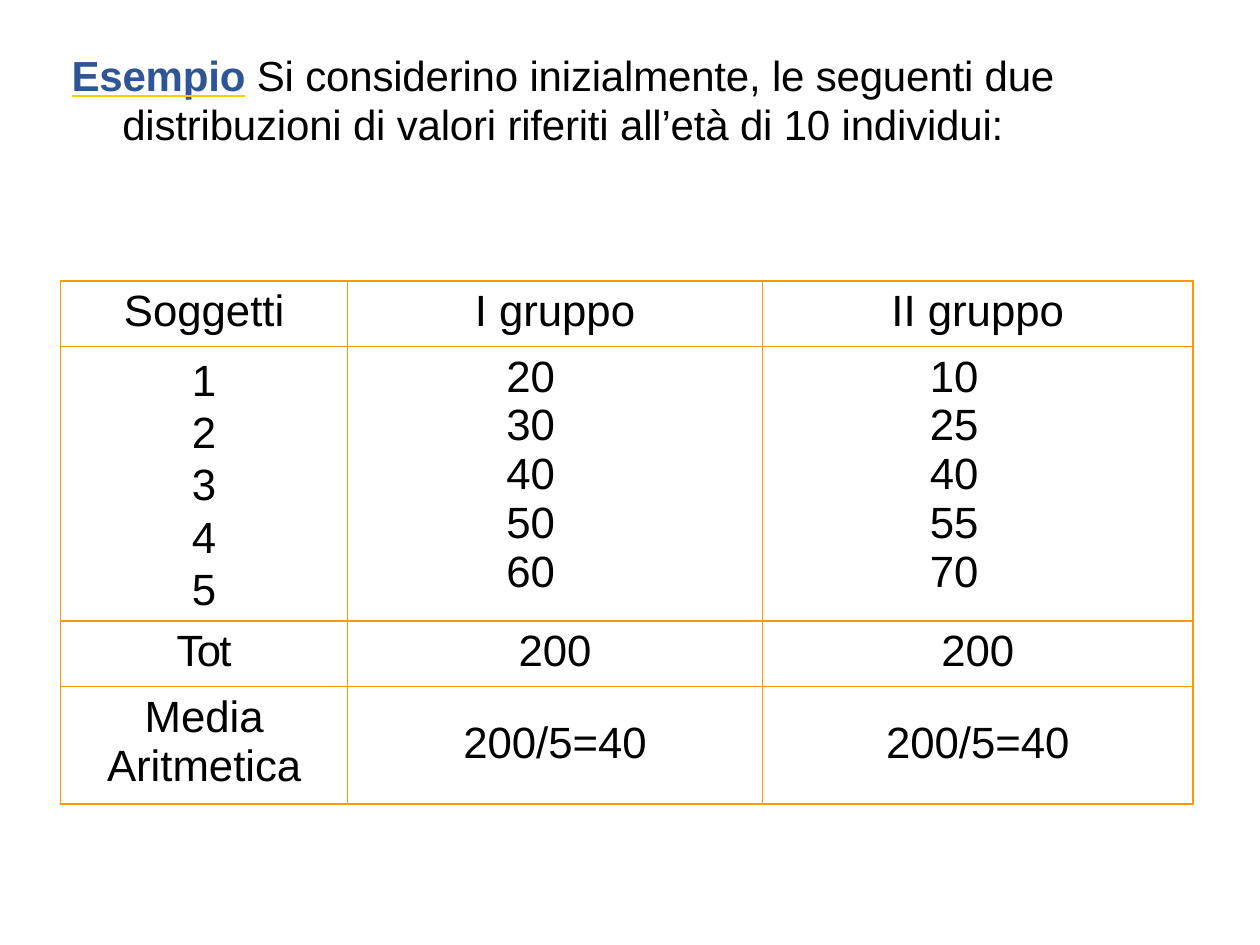
from lxml import etree
from pptx import Presentation
from pptx.dml.color import RGBColor
from pptx.enum.text import MSO_ANCHOR, PP_ALIGN
from pptx.oxml.ns import qn
from pptx.util import Inches, Pt

CENTER, LEFT = PP_ALIGN.CENTER, PP_ALIGN.LEFT
BOTTOM = MSO_ANCHOR.BOTTOM
FONT, BLACK, BLUE, YELLOW, ORANGE = "Arial", "000000", "2F5597", "FFCC00", "FF9900"

LEAD = "Esempio"
INTRO = " Si considerino inizialmente, le seguenti due distribuzioni di valori riferiti all’età di 10 individui:"
ROWS = [
    ["Soggetti", "I gruppo", "II gruppo"],
    ["1\n2\n3\n4\n5", "20\n30\n40\n50\n60", "10\n25\n40\n55\n70"],
    ["Tot", "200", "200"],
    ["Media Aritmetica", "200/5=40", "200/5=40"],
]
COL_WIDTHS = [2.28, 3.29, 3.42]
ROW_HEIGHTS = [0.52, 2.18, 0.52, 0.93]
VALUE_INDENTS = {(1, 1): 1.26, (1, 2): 1.33}
TOP_MARGINS = {(3, 1): 0.26, (3, 2): 0.26}
TRACKING = {"Tot": -90}


def rgb(value):
    return RGBColor.from_string(value)


def add_fill(parent, tag, color):
    fill = etree.SubElement(etree.SubElement(parent, qn(tag)), qn("a:solidFill"))
    etree.SubElement(fill, qn("a:srgbClr"), val=color)


def set_borders(cell):
    tcPr = cell._tc.get_or_add_tcPr()
    for side in "LRTB":
        add_fill(tcPr, f"a:ln{side}", ORANGE)
        line = tcPr[-1]
        line.set("w", str(Pt(1)))
        tcPr.append(line[0])
        line.append(tcPr[-1])


def add_intro(s):
    tf = s.shapes.add_textbox(Inches(0.52), Inches(0.36), Inches(7.89), Inches(0.82)).text_frame
    tf.word_wrap = True
    tf.vertical_anchor = BOTTOM
    tf.margin_left = tf.margin_right = tf.margin_bottom = 0
    tf.margin_top = Inches(0.04)
    p = tf.paragraphs[0]
    p.alignment, p.line_spacing = CENTER, Pt(28)
    p.font.name, p.font.size = FONT, Pt(24)
    for text, color, strong in [(LEAD, BLUE, True), (INTRO, BLACK, False)]:
        r = p.add_run()
        r.text = text
        r.font.name, r.font.size = FONT, Pt(24)
        r.font.bold = r.font.underline = strong
        r.font.color.rgb = rgb(color)
        rPr = r._r.get_or_add_rPr()
        rPr.set("spc", "-10")
        if strong:
            add_fill(rPr, "a:uFill", YELLOW)
            rPr.find(qn("a:solidFill")).addnext(rPr[-1])


def fill_cell(cell, place, text):
    cell.margin_left = cell.margin_right = cell.margin_bottom = 0
    cell.margin_top = Inches(TOP_MARGINS.get(place, 0.05))
    set_borders(cell)
    cell.fill.background()
    tf = cell.text_frame
    tf.text = text
    for p in tf.paragraphs:
        p.alignment = CENTER
        if place == (1, 0):
            p.line_spacing = Pt(30)
        if place in VALUE_INDENTS:
            p.alignment = LEFT
            p._p.get_or_add_pPr().set("marL", str(Inches(VALUE_INDENTS[place])))
        p.font.name, p.font.size, p.font.bold = FONT, Pt(25), False
        p.font.color.rgb = rgb(BLACK)
        if text in TRACKING:
            p.runs[0]._r.get_or_add_rPr().set("spc", str(TRACKING[text]))


def add_groups_table(s):
    table = s.shapes.add_table(
        len(ROWS), len(COL_WIDTHS), Inches(0.48), Inches(2.23),
        Inches(sum(COL_WIDTHS)), Inches(sum(ROW_HEIGHTS))).table
    table.first_row = table.horz_banding = False
    for column, width in zip(table.columns, COL_WIDTHS):
        column.width = Inches(width)
    for row, height in zip(table.rows, ROW_HEIGHTS):
        row.height = Inches(height)
    for i, row in enumerate(ROWS):
        for j, text in enumerate(row):
            fill_cell(table.cell(i, j), (i, j), text)


def main():
    """Build the slide comparing two age distributions with the same mean."""
    prs = Presentation()
    prs.slide_width, prs.slide_height = Inches(10), Inches(7.5)
    s = prs.slides.add_slide(prs.slide_layouts[6])
    add_intro(s)
    add_groups_table(s)
    prs.save("out.pptx")


if __name__ == "__main__":
    main()
